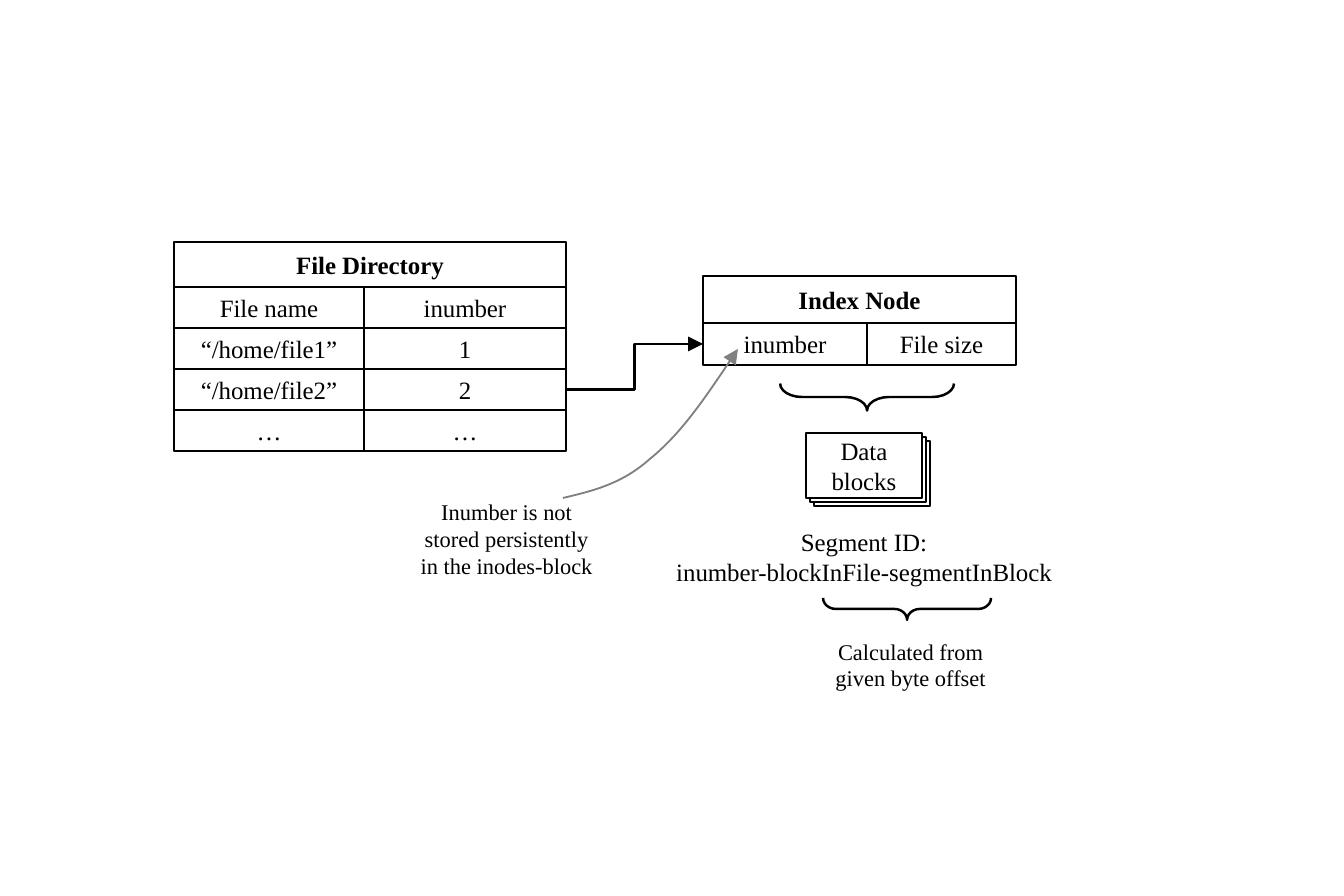
import pptx
import pptx.dml.color
import pptx.enum.shapes
import pptx.enum.text
import pptx.oxml
import pptx.oxml.ns
import pptx.util

PX = 914400 / 179.2
FONT = "Times New Roman"
COLORS = {"ink": "000000", "paper": "FFFFFF", "note": "808080"}

# left, top, column widths, header height, row height, title, rows
DIRECTORY = (174, 242, (190, 202), 45, 41, "File Directory", [
    ("File name", "inumber"),
    ("“/home/file1”", "1"),
    ("“/home/file2”", "2"),
    ("…", "…"),
])
INDEX_NODE = (703, 276, (164, 149), 47, 42, "Index Node", [("inumber", "File size")])

BLOCK_LABEL = "Data blocks"
BLOCK_BOX = (806, 433, 116, 65)
BLOCK_COUNT, BLOCK_STEP = 3, 4

# centre x, centre y, span, depth, curvature
BRACES = [(867, 397, 174, 27, 0.81), (907, 609, 168, 22, 0.58)]

# box, font size, paragraphs
LABELS = [
    ((656, 525, 416, 63), 10, ["Segment ID:", "inumber-blockInFile-segmentInBlock"]),
    ((805, 633, 211, 63), 9, ["Calculated from given byte offset"]),
    ((401, 489, 211, 99), 9, ["Inumber is not stored persistently in the inodes-block"]),
]

# Start point, then three Bézier points for each curve
NOTE_ARROW = [(738, 349),
              (710, 391), (681, 434), (650, 459),
              (622, 484), (593, 491), (563, 498)]


def px(*lengths):
    return [round(length * PX) for length in lengths]


def color(name):
    return pptx.dml.color.RGBColor.from_string(COLORS[name])


def style_line(item, name="ink", width=1):
    item.line.color.rgb = color(name)
    item.line.width = pptx.util.Pt(width)


def add_arrowhead(item, end):
    line = item._element.spPr.find(pptx.oxml.ns.qn("a:ln"))
    line.append(pptx.oxml.parse_xml(
        f'<a:{end} {pptx.oxml.ns.nsdecls("a")} type="triangle"/>'))


def write(shape, paragraphs, size=10, bold=False):
    frame = shape.text_frame
    frame.word_wrap = True
    frame.vertical_anchor = pptx.enum.text.MSO_ANCHOR.MIDDLE
    for index, text in enumerate(paragraphs):
        paragraph = frame.add_paragraph() if index else frame.paragraphs[0]
        paragraph.alignment = pptx.enum.text.PP_ALIGN.CENTER
        run = paragraph.add_run()
        run.text = text
        run.font.name = FONT
        run.font.size = pptx.util.Pt(size)
        run.font.bold = bold
        run.font.color.rgb = color("ink")


def add_outlined(slide, kind, box):
    shape = slide.shapes.add_shape(kind, *px(*box))
    shape.shadow.inherit = False
    shape.fill.solid()
    shape.fill.fore_color.rgb = color("paper")
    style_line(shape)
    return shape


def add_box(slide, box, text=None, bold=False):
    shape = add_outlined(slide, pptx.enum.shapes.MSO_SHAPE.RECTANGLE, box)
    if text:
        write(shape, [text], bold=bold)
    return shape


def add_record(slide, left, top, widths, header_height, row_height, title, rows):
    """Draw a titled grid of boxes and return its cells by row."""
    add_box(slide, (left, top, sum(widths), header_height), title, bold=True)
    cells = []
    for row, texts in enumerate(rows):
        y = top + header_height + row * row_height
        cells.append([
            add_box(slide, (left + sum(widths[:column]), y, widths[column], row_height), text)
            for column, text in enumerate(texts)
        ])
    return cells


def add_link(slide, source, target):
    """Join the right side of source to the left side of target."""
    link = slide.shapes.add_connector(
        pptx.enum.shapes.MSO_CONNECTOR.ELBOW, 0, 0, 0, 0)
    link.begin_connect(source, 3)
    link.end_connect(target, 1)
    style_line(link)
    add_arrowhead(link, "tailEnd")
    link._element.spPr.append(pptx.oxml.parse_xml(
        f'<a:effectLst {pptx.oxml.ns.nsdecls("a")}/>'))


def add_brace(slide, center_x, center_y, span, depth, curvature):
    box = (center_x - depth / 2, center_y - span / 2, depth, span)
    brace = add_outlined(slide, pptx.enum.shapes.MSO_SHAPE.RIGHT_BRACE, box)
    brace.rotation = 90
    brace.adjustments[0] = curvature


def add_curved_arrow(slide, points):
    builder = slide.shapes.build_freeform(*points[0], scale=PX)
    builder.add_line_segments(points[1:], close=False)
    curve = builder.convert_to_shape()
    qn = pptx.oxml.ns.qn
    segments = list(curve._element.iter(qn("a:lnTo")))
    for start in range(0, len(segments), 3):
        bezier = pptx.oxml.parse_xml(f'<a:cubicBezTo {pptx.oxml.ns.nsdecls("a")}/>')
        segments[start].addprevious(bezier)
        for segment in segments[start:start + 3]:
            bezier.append(segment.find(qn("a:pt")))
            segment.getparent().remove(segment)
    curve.shadow.inherit = False
    curve.fill.background()
    style_line(curve, "note", 0.75)
    add_arrowhead(curve, "headEnd")


def main():
    presentation = pptx.Presentation()
    presentation.slide_width, presentation.slide_height = px(1344, 896)
    slide = presentation.slides.add_slide(presentation.slide_layouts[6])

    directory = add_record(slide, *DIRECTORY)
    index_node = add_record(slide, *INDEX_NODE)
    add_link(slide, directory[2][1], index_node[0][0])

    left, top, width, height = BLOCK_BOX
    for depth in reversed(range(BLOCK_COUNT)):
        shift = depth * BLOCK_STEP
        add_box(slide, (left + shift, top + shift, width, height),
                None if depth else BLOCK_LABEL)

    for brace in BRACES:
        add_brace(slide, *brace)
    for box, size, paragraphs in LABELS:
        write(slide.shapes.add_textbox(*px(*box)), paragraphs, size)
    add_curved_arrow(slide, NOTE_ARROW)

    presentation.save("out.pptx")


if __name__ == "__main__":
    main()
